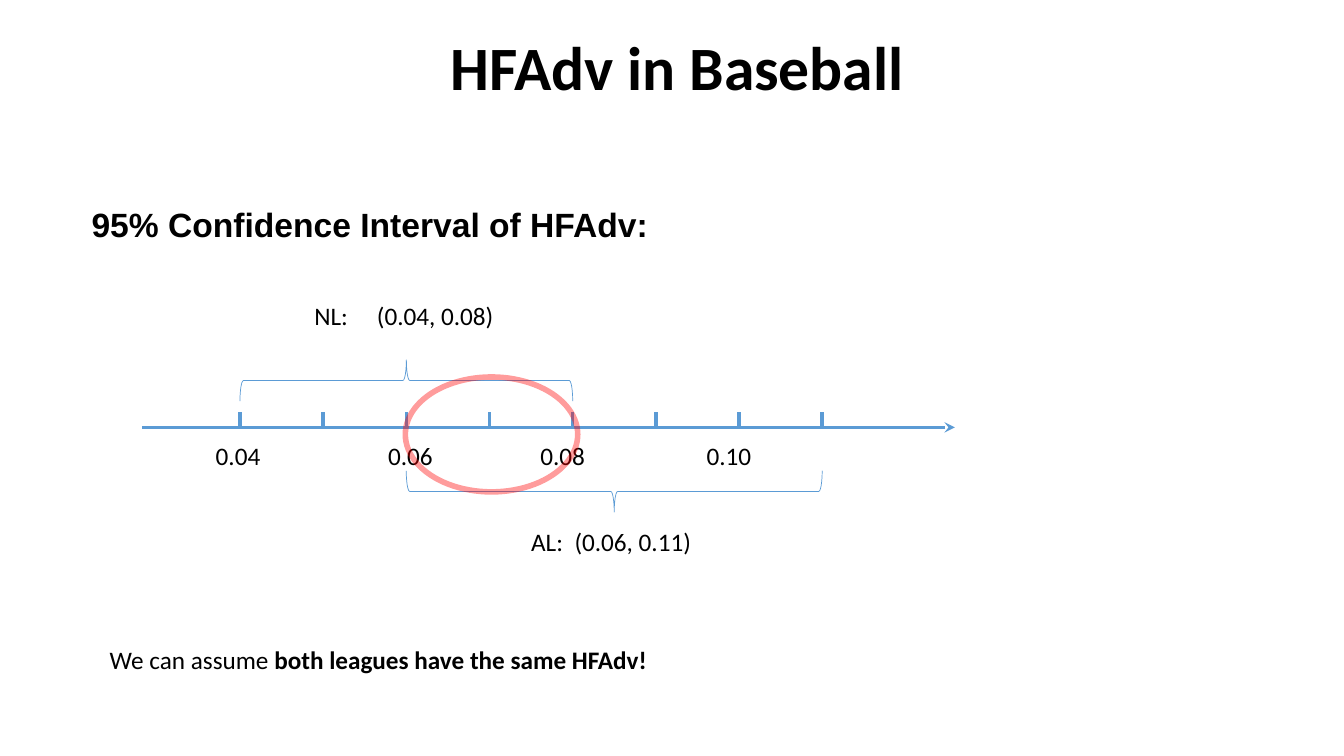
from dataclasses import dataclass

from lxml import etree
from pptx import Presentation
from pptx.dml.color import RGBColor
from pptx.enum import shapes, text
from pptx.oxml import ns
from pptx.util import Inches, Pt


@dataclass(frozen=True)
class Theme:
    ink: RGBColor = RGBColor(0x00, 0x00, 0x00)
    axis: RGBColor = RGBColor(0x5B, 0x9B, 0xD5)
    overlap: RGBColor = RGBColor(0xFF, 0x00, 0x00)
    overlap_alpha: int = 38000
    body_font: str = "Calibri"
    heading_font: str = "Arial"
    title_size: int = 44
    heading_size: int = 24
    body_size: int = 18
    axis_width: float = 2.5
    brace_width: float = 0.5
    overlap_width: float = 4


THEME = Theme()
TICK_COUNT = 8
TICK_STEP = 0.825
FIRST_VALUE = 0.04
VALUE_STEP = 0.01


def add_xml(parent, tag, **attributes):
    return etree.SubElement(parent, ns.qn(tag), attributes)


def write(parts, box, wording, size=THEME.body_size, font=THEME.body_font,
          bold=None, align=None, anchor=text.MSO_ANCHOR.TOP):
    label = parts.add_textbox(*map(Inches, box))
    frame = label.text_frame
    frame.word_wrap = True
    frame.vertical_anchor = anchor
    paragraph = frame.paragraphs[0]
    paragraph.text = wording
    paragraph.alignment = align
    paragraph.font.name = font
    paragraph.font.size = Pt(size)
    paragraph.font.bold = bold
    paragraph.font.color.rgb = THEME.ink
    return paragraph


def draw_line(parts, x1, y1, x2, y2):
    line = parts.add_connector(shapes.MSO_CONNECTOR.STRAIGHT,
                               *map(Inches, (x1, y1, x2, y2)))
    line.line.color.rgb = THEME.axis
    line.line.width = Pt(THEME.axis_width)
    add_xml(line._element.spPr, "a:effectLst")
    return line


def draw_outline(parts, kind, box, color, width):
    outline = parts.add_shape(kind, *map(Inches, box))
    outline.shadow.inherit = False
    outline.fill.background()
    outline.line.color.rgb = color
    outline.line.width = Pt(width)
    return outline


def tick_x(left, value):
    return left + 0.97 + TICK_STEP * (value - FIRST_VALUE) / VALUE_STEP


def draw_brace(parts, left, top, interval, rotation):
    start, end = (tick_x(left, value) for value in interval)
    depth, span = 0.41, end - start
    box = ((start + end - depth) / 2, top + (depth - span) / 2, depth, span)
    brace = draw_outline(parts, shapes.MSO_SHAPE.LEFT_BRACE, box,
                         THEME.axis, THEME.brace_width)
    brace.rotation = rotation


def write_interval(parts, box, league, interval, tab):
    low, high = interval
    paragraph = write(parts, box, f"{league}:\t({low:.2f}, {high:.2f})")
    tabs = add_xml(paragraph._p.get_or_add_pPr(), "a:tabLst")
    add_xml(tabs, "a:tab", pos=str(Inches(tab)), algn="l")
    properties = paragraph._p.pPr
    properties.insert(0, tabs)


def draw_axis(parts, left, top, width):
    axis = draw_line(parts, left, top, left + width, top)
    add_xml(axis.line._get_or_add_ln(), "a:tailEnd", type="stealth")
    for index in range(TICK_COUNT):
        x = tick_x(left, FIRST_VALUE + index * VALUE_STEP)
        draw_line(parts, x, top - 0.15, x, top + 0.01)
    label_lefts = {"0.04": 0.63, "0.06": 2.34, "0.08": 3.85, "0.10": 5.5}
    for label, offset in label_lefts.items():
        write(parts, (left + offset, top + 0.08, 0.81, 0.4), label)


def draw_intervals(slide, left, top, width):
    national, american = (0.04, 0.08), (0.06, 0.11)
    number_line = slide.shapes.add_group_shape().shapes
    draw_axis(number_line, left, top, width)
    draw_brace(number_line, left, top - 0.67, national, 90)
    write_interval(slide.shapes, (left + 1.61, top - 1.31, 2.1, 0.4),
                   "NL", national, 0.62)
    draw_brace(slide.shapes, left, top + 0.43, american, 270)
    write_interval(slide.shapes, (left + 3.76, top + 0.93, 1.9, 0.4),
                   "AL", american, 0.43)
    overlap = draw_outline(slide.shapes, shapes.MSO_SHAPE.OVAL,
                           (left + 2.61, top - 0.5, 1.71, 1.14),
                           THEME.overlap, THEME.overlap_width)
    color = overlap.line._get_or_add_ln().find(".//" + ns.qn("a:srgbClr"))
    add_xml(color, "a:alpha", val=str(THEME.overlap_alpha))


def write_headings(slide, left, top):
    write(slide.shapes, (left, top + 1.95, 6.1, 0.65),
          "95% Confidence Interval of HFAdv:", THEME.heading_size,
          THEME.heading_font, True, text.PP_ALIGN.JUSTIFY)
    write(slide.shapes, (left + 2.32, top, 7.18, 1.26), "HFAdv in Baseball",
          THEME.title_size, bold=True, align=text.PP_ALIGN.CENTER,
          anchor=text.MSO_ANCHOR.MIDDLE)


def write_conclusion(slide, box):
    conclusion = write(slide.shapes, box, "We can assume")
    claim = conclusion.add_run()
    claim.text = " both leagues have the same HFAdv!"
    claim.font.bold = True


def main():
    deck = Presentation()
    deck.slide_width, deck.slide_height = Inches(13.33), Inches(7.5)
    slide = deck.slides.add_slide(deck.slide_layouts[6])
    write_headings(slide, 0.81, 0.02)
    draw_intervals(slide, 1.41, 4.24, 8.06)
    write_conclusion(slide, (0.99, 6.34, 5.74, 0.4))
    deck.save("out.pptx")


if __name__ == "__main__":
    main()
